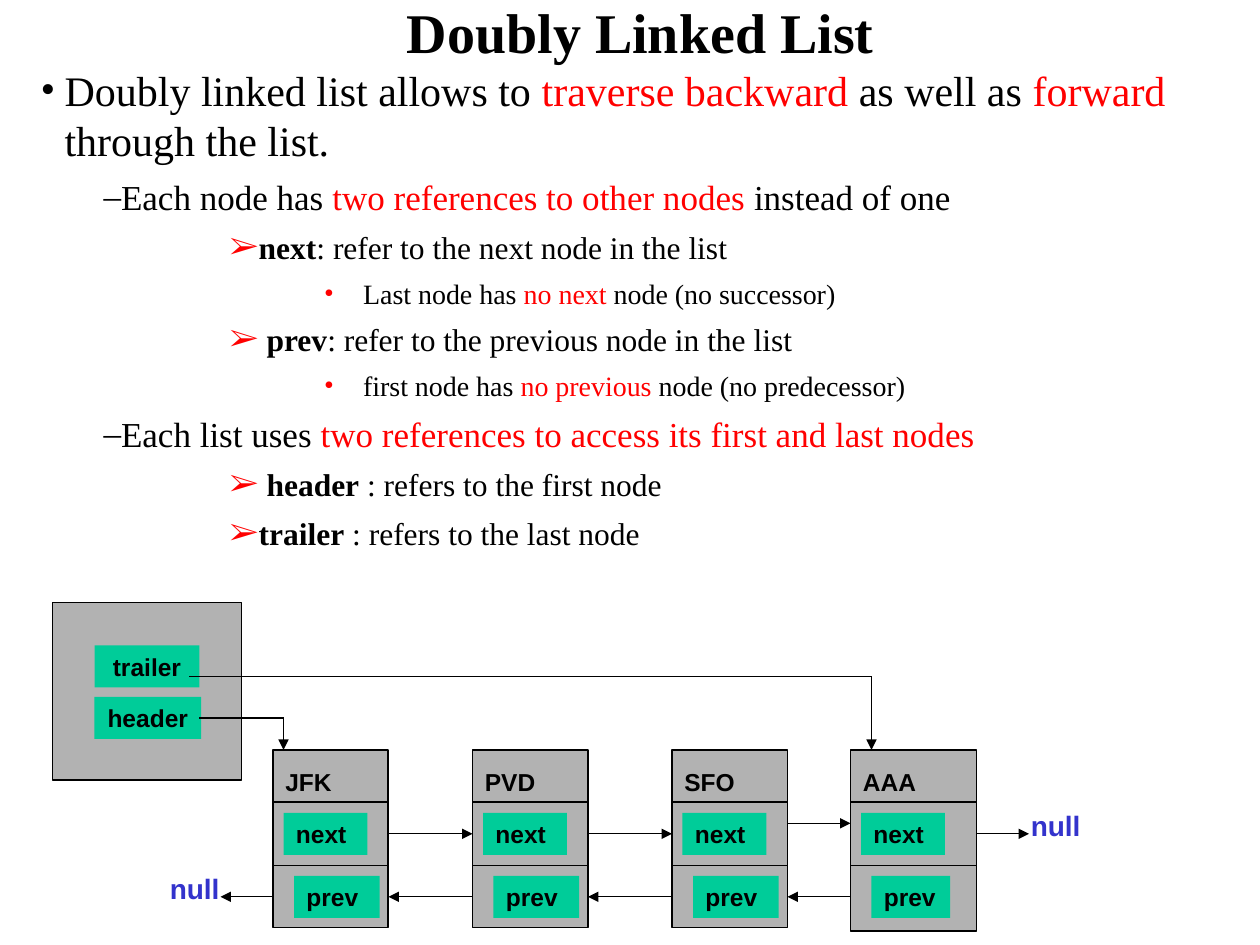
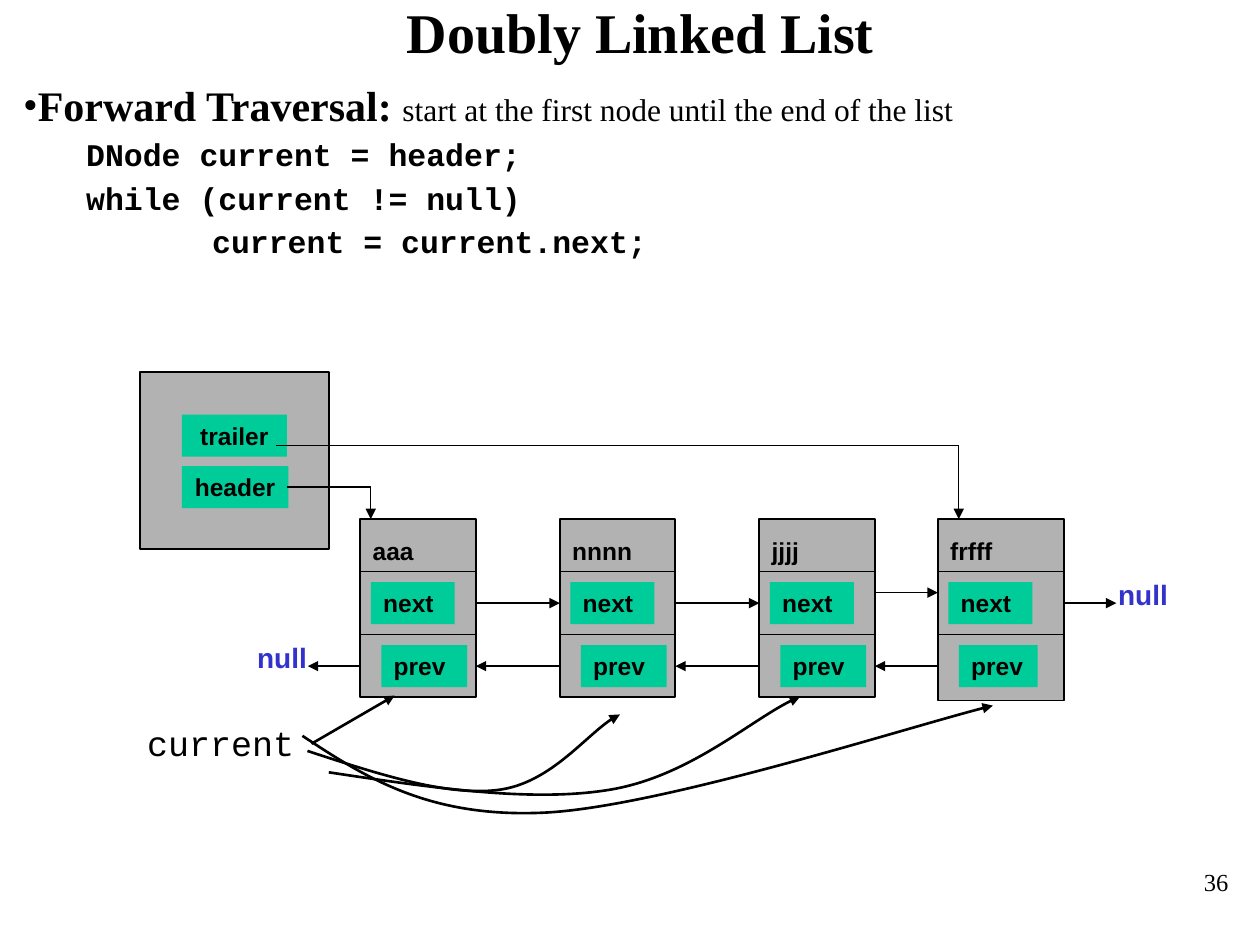
"""Build two slides on doubly linked lists, sharing one node diagram."""
from dataclasses import dataclass
from itertools import pairwise

from lxml import etree
from pptx import Presentation
from pptx.dml.color import RGBColor
from pptx.enum import shapes as kinds, text as t
from pptx.oxml import ns
from pptx.util import Pt

COLORS = {"ink": "000000", "accent": "FF0000", "box": "B2B2B2",
          "reference": "00CC99", "null": "3333CC"}
SERIF, SANS, MONO = "Times New Roman", "Arial", "Courier New"
NODE_TOP = 84.25
NEXT_Y, LAST_NEXT_Y, PREV_Y = 48, 42, 84


@dataclass(frozen=True)
class Run:
    text: str
    color: str = "ink"
    bold: bool = False
    size: float | None = None


@dataclass(frozen=True)
class Style:
    level: int
    size: float
    left: float
    hanging: float = 0
    bullet: str = ""
    bullet_color: str = "ink"
    space: float = 6
    font: str = SERIF


@dataclass(frozen=True)
class Line:
    style: Style
    runs: tuple[Run, ...]


@dataclass(frozen=True)
class Node:
    label: str
    left: float
    width: float = 66
    height: float = 101.5
    prev_width: float = 49

    @property
    def right(self) -> float:
        return self.left + self.width


TOPIC = Style(0, 24, 13.7, 13.7, "•")
CLAIM = Style(1, 20, 36, 0, "–")
FIELD = Style(3, 18, 108, 0, "➢", "accent")
DETAIL = Style(4, 16, 184.3, 22.3, "•", "accent")
HEADING = Style(0, 24, 0, 0, "•", space=3)
CODE = Style(1, 18, 36, space=3, font=MONO)
NESTED_CODE = Style(1, 18, 108, space=3, font=MONO)

OVERVIEW = (
    Line(TOPIC, (Run("Doubly linked list allows to "), Run("traverse backward ", "accent"),
                 Run("as well as "), Run("forward", "accent"), Run(" through the list."))),
    Line(CLAIM, (Run("Each node has "), Run("two references to other nodes ", "accent"),
                 Run("instead of one"))),
    Line(FIELD, (Run("next", bold=True), Run(": refer to the next node in the list"))),
    Line(DETAIL, (Run("Last node has "), Run("no next ", "accent"),
                  Run("node (no successor)"))),
    Line(FIELD, (Run(" "), Run("prev", bold=True),
                 Run(": refer to the previous node in the list"))),
    Line(DETAIL, (Run("first node has "), Run("no previous ", "accent"),
                  Run("node (no predecessor)"))),
    Line(CLAIM, (Run("Each list uses "),
                 Run("two references to access its first and last nodes", "accent"))),
    Line(FIELD, (Run(" "), Run("header", bold=True), Run(" : refers to the first node"))),
    Line(FIELD, (Run("trailer", bold=True), Run(" : refers to the last node"))),
)
TRAVERSAL = (
    Line(HEADING, (Run("Forward Traversal: ", bold=True),
                   Run("start at the first node until the end of the list", size=18))),
    Line(CODE, (Run("DNode current = header;", bold=True),)),
    Line(CODE, (Run("while (current != null)", bold=True),)),
    Line(NESTED_CODE, (Run("current = current.next;", bold=True),)),
)
CURRENT_CURVES = (
    ((2.44, 5.96), (2.99, 6.14), (3.54, 6.32), (3.95, 6.27),
     (4.36, 6.22), (4.7, 5.77), (4.92, 5.67)),
    ((2.4, 5.84), (2.9, 6.17), (3.4, 6.49), (4.31, 6.45),
     (5.22, 6.41), (7.3, 5.74), (7.88, 5.6)),
    ((2.61, 6.13), (3.41, 6.25), (4.21, 6.37), (4.83, 6.27),
     (5.46, 6.17), (6.02, 5.66), (6.35, 5.53)),
)


def rgb(name: str) -> RGBColor:
    """Look up a named colour."""
    return RGBColor.from_string(COLORS[name])


def write(paragraph, words: str, *, size: float = 14, font: str = SANS,
          color: str = "ink", bold: bool = False, align=None) -> None:
    """Append a formatted run to a paragraph."""
    if align is not None:
        paragraph.alignment = align
    run = paragraph.add_run()
    run.text = words
    run.font.name, run.font.size, run.font.bold = font, Pt(size), bold
    run.font.color.rgb = rgb(color)


def place(shape, left: float, top: float, width: float, height: float) -> None:
    """Set the position and size of a shape."""
    shape.left, shape.top = Pt(left), Pt(top)
    shape.width, shape.height = Pt(width), Pt(height)


def set_bullet(paragraph, style: Style) -> None:
    """Set the level, indents and bullet of a paragraph."""
    paragraph.level = style.level
    properties = paragraph._p.get_or_add_pPr()
    properties.set("marL", str(Pt(style.left)))
    properties.set("indent", str(-Pt(style.hanging)))
    if not style.bullet:
        etree.SubElement(properties, ns.qn("a:buNone"))
        return
    bullet_color = etree.SubElement(properties, ns.qn("a:buClr"))
    etree.SubElement(bullet_color, ns.qn("a:srgbClr"), val=COLORS[style.bullet_color])
    etree.SubElement(properties, ns.qn("a:buFont"), typeface=style.font)
    etree.SubElement(properties, ns.qn("a:buChar"), char=style.bullet)


def add_lines(frame, lines: tuple[Line, ...]) -> None:
    """Fill a text frame with formatted list lines."""
    for index, line in enumerate(lines):
        paragraph = frame.add_paragraph() if index else frame.paragraphs[0]
        set_bullet(paragraph, line.style)
        paragraph.space_before = Pt(line.style.space if index else 0)
        for run in line.runs:
            write(paragraph, run.text, size=run.size or line.style.size,
                  font=line.style.font, color=run.color, bold=run.bold)


def add_page(presentation, lines: tuple[Line, ...], body_box: tuple[float, ...]):
    """Add a slide with the shared title and a body list."""
    slide = presentation.slides.add_slide(presentation.slide_layouts[1])
    title, body = slide.placeholders
    place(title, 12, 0, 708, 36)
    title.text_frame.vertical_anchor = t.MSO_ANCHOR.MIDDLE
    write(title.text_frame.paragraphs[0], "Doubly Linked List", size=32, font=SERIF,
          bold=True, align=t.PP_ALIGN.CENTER)
    place(body, *body_box)
    body.text_frame.vertical_anchor = t.MSO_ANCHOR.TOP
    for frame in (title.text_frame, body.text_frame):
        frame.auto_size = t.MSO_AUTO_SIZE.NONE
        frame.word_wrap = True
    add_lines(body.text_frame, lines)
    return slide


def add_label(slide, box: tuple[float, ...], words: str, wrap: bool = True, **style) -> None:
    """Add a text box with one formatted line."""
    label = slide.shapes.add_textbox(*map(Pt, box))
    label.text_frame.word_wrap = wrap
    write(label.text_frame.paragraphs[0], words, **style)


def add_box(slide, box: tuple[float, ...], fill: str, outlined: bool = False):
    """Add a filled rectangle, outlined on request."""
    shape = slide.shapes.add_shape(kinds.MSO_SHAPE.RECTANGLE, *map(Pt, box))
    shape.shadow.inherit = False
    shape.fill.solid()
    shape.fill.fore_color.rgb = rgb(fill)
    if outlined:
        shape.line.color.rgb = rgb("ink")
        shape.line.width = Pt(1)
    else:
        shape.line.fill.background()
    return shape


def add_reference(slide, box: tuple[float, ...], words: str, align=t.PP_ALIGN.LEFT) -> None:
    """Add a green box naming a reference."""
    frame = add_box(slide, box, "reference").text_frame
    frame.vertical_anchor = t.MSO_ANCHOR.TOP
    write(frame.paragraphs[0], words, bold=True, align=align)


def ink_line(shape, width: float, arrow: bool) -> None:
    """Give a line its colour, width and optional arrowhead."""
    shape.line.color.rgb = rgb("ink")
    shape.line.width = Pt(width)
    if arrow:
        outline = shape.element.find(".//" + ns.qn("a:ln"))
        etree.SubElement(outline, ns.qn("a:tailEnd"), type="triangle")


def add_line(slide, start: tuple[float, float], end: tuple[float, float],
             width: float = 0.75, arrow: bool = False) -> None:
    """Add a straight line or arrow."""
    connector = slide.shapes.add_connector(
        kinds.MSO_CONNECTOR.STRAIGHT, *map(Pt, (*start, *end)))
    ink_line(connector, width, arrow)
    etree.SubElement(connector.element.spPr, ns.qn("a:effectLst"))


def add_curve(slide, points: tuple[tuple[float, float], ...]) -> None:
    """Add a curved arrow through cubic segments given in inches."""
    start, *rest = [(Pt(x * 72), Pt(y * 72)) for x, y in points]
    builder = slide.shapes.build_freeform(*start)
    builder.add_line_segments(rest, close=False)
    curve = builder.convert_to_shape()
    outline = curve.element.find(".//" + ns.qn("a:path"))
    segments = outline.findall(ns.qn("a:lnTo"))
    for first in range(0, len(segments), 3):
        cubic = etree.SubElement(outline, ns.qn("a:cubicBezTo"))
        for segment in segments[first:first + 3]:
            cubic.append(segment[0])
            outline.remove(segment)
    curve.shadow.inherit = False
    curve.fill.background()
    ink_line(curve, 1.5, True)


def add_node(slide, node: Node, x: float, top: float) -> None:
    """Draw a node with its label and two references."""
    left = x + node.left
    add_box(slide, (left, top, node.width, node.height), "box", outlined=True)
    for offset, width in ((30, 1), (66, 0.75)):
        add_line(slide, (left, top + offset), (left + node.width, top + offset), width)
    add_label(slide, (left, top + 6, 72, 24), node.label, bold=True)
    add_reference(slide, (left + 12, top + 72, node.prev_width, 24), "prev")
    add_reference(slide, (left + 6, top + 36, 48, 24), "next")


def add_diagram(slide, x: float, y: float, labels: tuple[str, ...]) -> None:
    """Draw the list box, its nodes and all links from a top-left corner."""
    top = y + NODE_TOP
    nodes = [Node(label, 126 + 114 * index) for index, label in enumerate(labels[:-1])]
    nodes.append(Node(labels[-1], 456, 72, 103.7, 45))
    first, last = nodes[0], nodes[-1]
    add_box(slide, (x, y, 108, 101.5), "box", outlined=True)
    for node in nodes:
        add_node(slide, node, x, top)

    links = [(first.left, first.left - 30, PREV_Y), (last.right, last.right + 30, NEXT_Y)]
    for node, follower in pairwise(nodes):
        next_y = LAST_NEXT_Y if follower is last else NEXT_Y
        links += [(node.right, follower.left, next_y), (follower.left, node.right, PREV_Y)]
    for start, end, offset in links:
        add_line(slide, (x + start, top + offset), (x + end, top + offset), arrow=True)
    for left, offset in ((first.left - 66, 66), (last.right + 24, 30)):
        add_label(slide, (x + left, top + offset, 48, 26), "null",
                  size=16, color="null", bold=True)

    add_reference(slide, (x + 24, y + 54, 61, 24), "header", t.PP_ALIGN.CENTER)
    add_reference(slide, (x + 24, y + 24.5, 60, 24), "trailer", t.PP_ALIGN.CENTER)
    for start, end, offset, width in ((84, first.left + 6, 66, 1.5),
                                      (78, last.left + 12, 42.3, 0.75)):
        add_line(slide, (x + start, y + offset), (x + end, y + offset), width)
        add_line(slide, (x + end, y + offset), (x + end, top), arrow=True)


def main() -> None:
    """Build and save both slides."""
    presentation = Presentation()
    presentation.slide_width, presentation.slide_height = Pt(720), Pt(540)

    overview = add_page(presentation, OVERVIEW, (16, 33, 704, 289))
    add_diagram(overview, 30, 344.25, ("JFK", "PVD", "SFO", "AAA"))

    traversal = add_page(presentation, TRAVERSAL, (6, 42, 599, 172))
    add_diagram(traversal, 79.9, 212.4, ("aaa", "nnnn", "jjjj", "frfff"))
    add_label(traversal, (77, 409, 130, 31), "current", wrap=False, size=20, font=MONO)
    add_line(traversal, (178, 425), (225.5, 397.5), 1.5, arrow=True)
    for points in CURRENT_CURVES:
        add_curve(traversal, points)
    add_label(traversal, (648, 492, 61, 36), "36", font=SERIF, align=t.PP_ALIGN.RIGHT)
    presentation.save("out.pptx")


if __name__ == "__main__":
    main()
